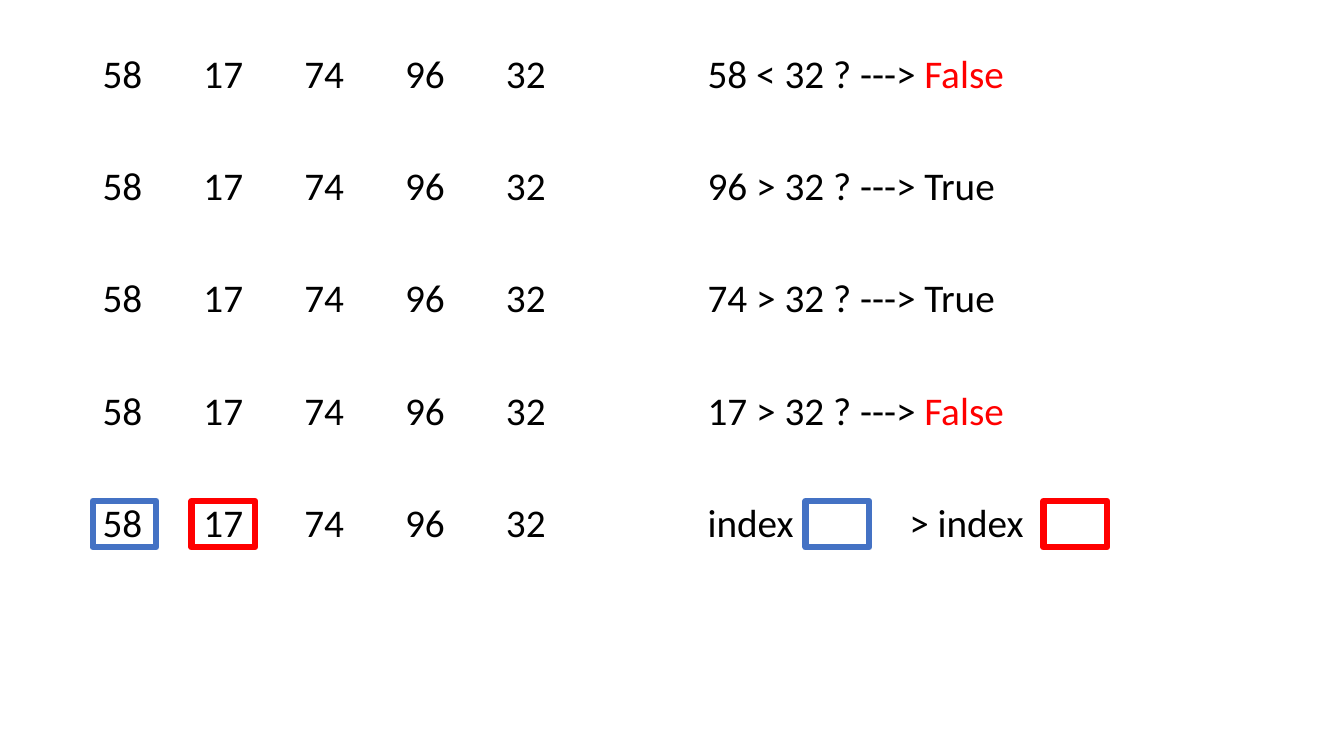
from dataclasses import dataclass

from lxml.etree import SubElement
from pptx import Presentation
from pptx.dml.color import RGBColor
from pptx.enum.shapes import MSO_SHAPE
from pptx.oxml.ns import qn
from pptx.slide import Slide
from pptx.text.text import _Paragraph as Paragraph
from pptx.util import Inches, Pt

COLORS = {"text": "000000", "false": "FF0000", "left": "4472C4", "right": "FF0000"}
NUMBERS = (58, 17, 74, 96, 32)
COLUMN_WIDTH = 1
TAB_COUNT = 8


@dataclass(frozen=True)
class Comparison:
    question: str
    result: str = ""
    result_color: str = "text"


@dataclass(frozen=True)
class IndexFrame:
    left: float
    color: str


COMPARISONS = (
    Comparison("58 < 32 ? ---> ", "False", "false"),
    Comparison("96 > 32 ? ---> ", "True"),
    Comparison("74 > 32 ? ---> ", "True"),
    Comparison("17 > 32 ? ---> ", "False", "false"),
    Comparison("index \t\t> index "),
)
FRAMES = (
    IndexFrame(0.92, "left"),
    IndexFrame(1.9, "right"),
    IndexFrame(7.99, "left"),
    IndexFrame(10.35, "right"),
)


def add_run(
    paragraph: Paragraph, text: str, *, color: str = "text", size: float = 28, font: str = "Calibri"
) -> None:
    run = paragraph.add_run()
    run.text = text
    run.font.name = font
    run.font.size = Pt(size)
    run.font.color.rgb = RGBColor.from_string(COLORS[color])


def set_tab_stops(paragraph: Paragraph) -> None:
    tab_list = SubElement(paragraph._p.get_or_add_pPr(), qn("a:tabLst"))
    for column in range(1, TAB_COUNT + 1):
        SubElement(tab_list, qn("a:tab"), pos=str(Inches(column * COLUMN_WIDTH)), algn="l")


def add_comparisons(slide: Slide) -> None:
    text_box = slide.shapes.add_textbox(Inches(0.92), Inches(0.49), Inches(11.5), Inches(6.57))
    text_frame = text_box.text_frame
    text_frame.word_wrap = True
    numbers = "\t".join(map(str, NUMBERS))
    for row, comparison in enumerate(COMPARISONS):
        paragraph = text_frame.add_paragraph() if row else text_frame.paragraphs[0]
        paragraph.line_spacing = 0.9
        paragraph.space_before = Pt(50 if row else 0)
        set_tab_stops(paragraph)
        add_run(paragraph, f"{numbers}\t\t{comparison.question}")
        if comparison.result:
            add_run(paragraph, comparison.result, color=comparison.result_color)


def add_index_frame(slide: Slide, frame: IndexFrame) -> None:
    shape = slide.shapes.add_shape(
        MSO_SHAPE.RECTANGLE, Inches(frame.left), Inches(4.97), Inches(0.63), Inches(0.46)
    )
    shape.shadow.inherit = False
    shape.fill.background()
    shape.line.color.rgb = RGBColor.from_string(COLORS[frame.color])
    shape.line.width = Pt(4.5)


presentation = Presentation()
presentation.slide_width = Inches(13.33)
presentation.slide_height = Inches(7.5)
slide = presentation.slides.add_slide(presentation.slide_layouts[6])
add_comparisons(slide)
for frame in FRAMES:
    add_index_frame(slide, frame)
presentation.save("out.pptx")
